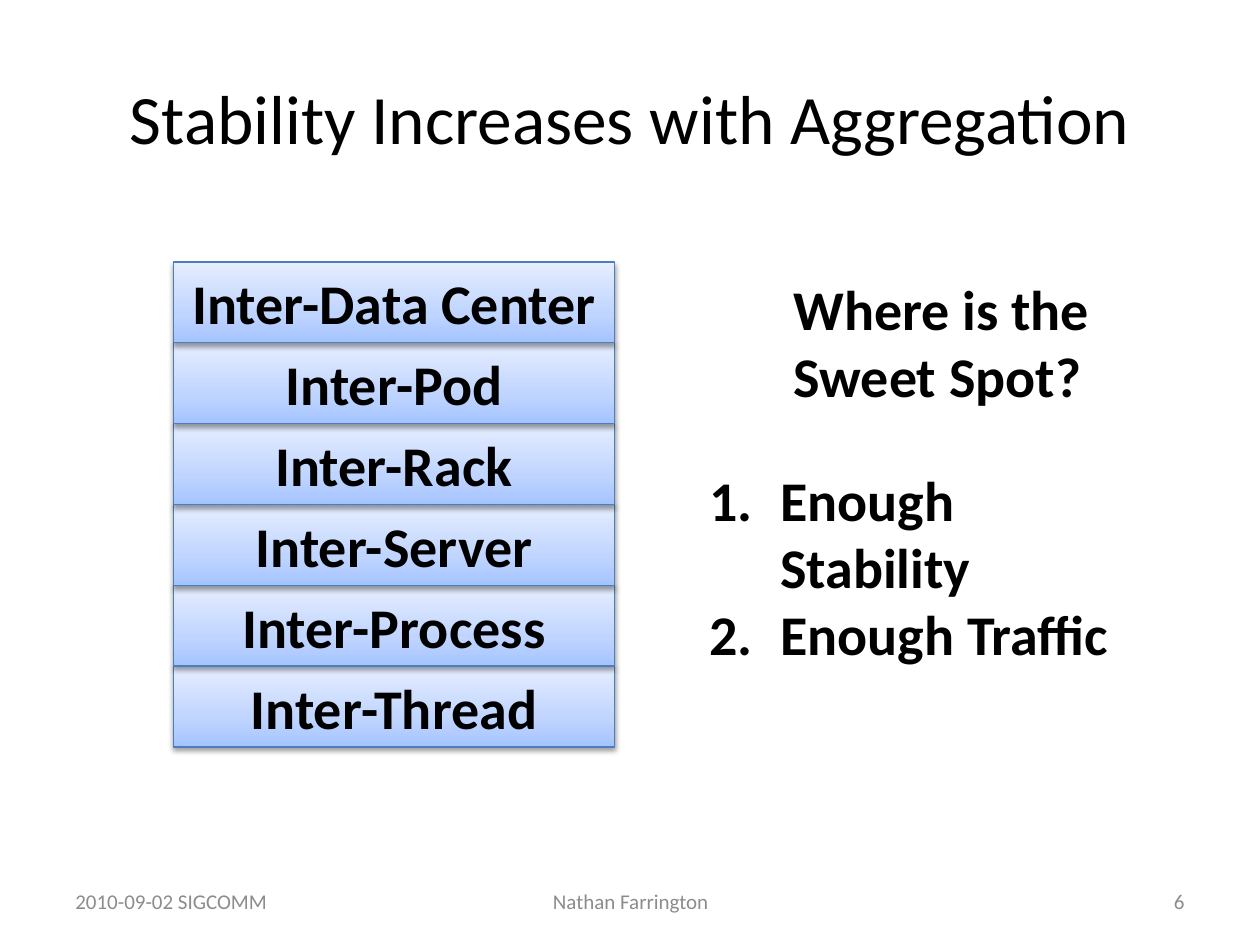
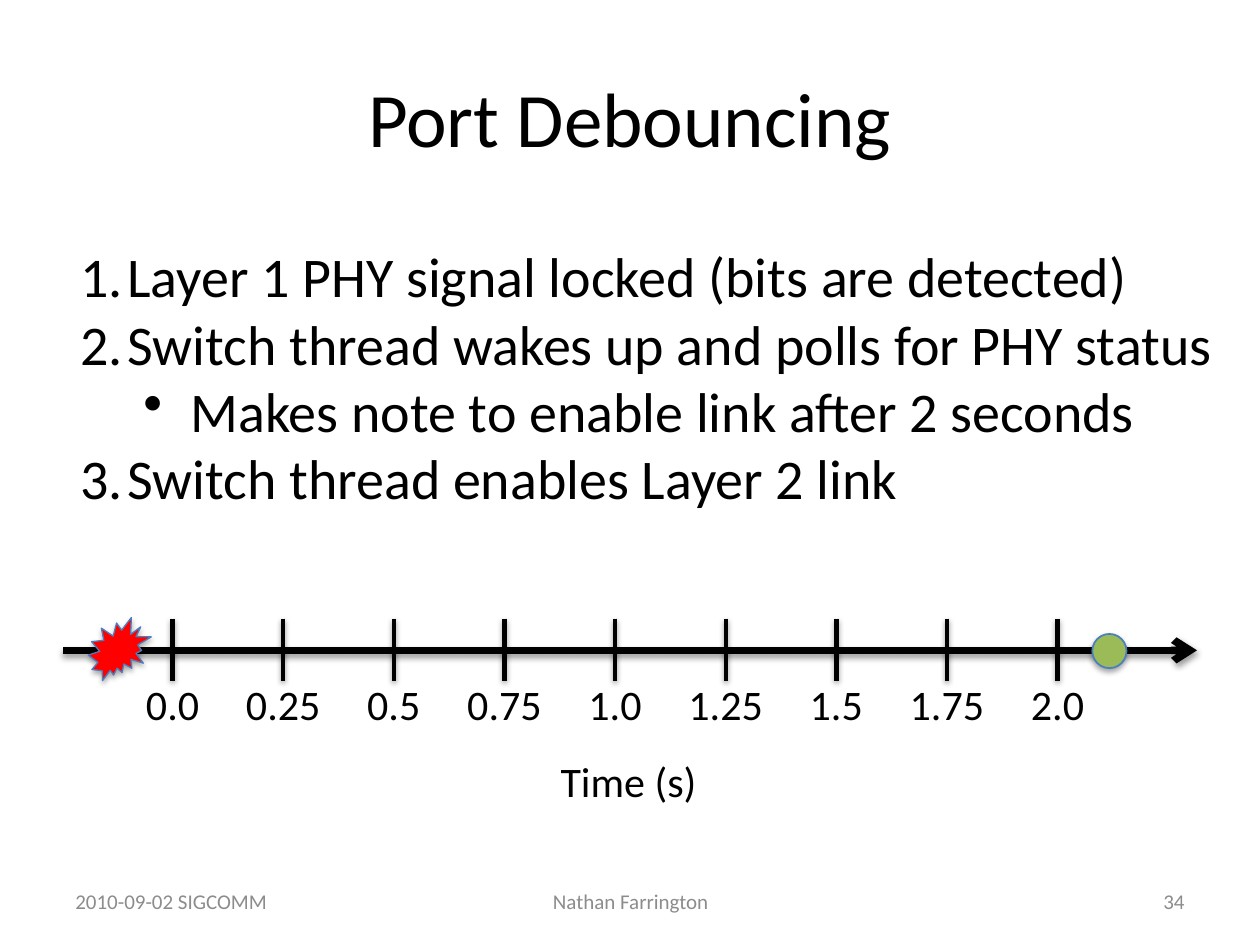
from dataclasses import dataclass
from typing import NamedTuple, Optional, Sequence, Union

from lxml.etree import SubElement
from pptx import Presentation
from pptx.dml.color import RGBColor as Rgb
from pptx.enum.shapes import MSO_CONNECTOR as Link, MSO_SHAPE as Preset
from pptx.enum.text import MSO_ANCHOR as Anchor, PP_ALIGN as Align
from pptx.oxml.ns import qn
from pptx.util import Cm, Pt


# Theme: colours and type sizes
@dataclass(frozen=True)
class Theme:
    font: str = "Calibri"
    ink: str = "000000"
    muted: str = "8C8C8C"
    edge: str = "4B7EBC"
    burst: str = "FF0000"
    dot: str = "9BBB59"
    layer_stops: tuple = ((0, "A4C4FF"), (35, "BFD4FF"), (100, "E6EEFF"))
    title: float = 44
    long_title: float = 39.6
    body: float = 32
    scale: float = 24
    footer: float = 12


THEME = Theme()


class Box(NamedTuple):
    """Left, top, width and height in centimetres."""
    left: float
    top: float
    width: float
    height: float

    def lengths(self) -> list:
        return [Cm(side) for side in self]


class Item(NamedTuple):
    """A list paragraph: its mark, left margin and hanging indent in cm."""
    text: str
    indent: float
    hang: float
    level: int = 0
    bullet: Optional[str] = None


class FooterPart(NamedTuple):
    text: str
    box: Box
    align: Align


class Marker(NamedTuple):
    preset: Preset
    box: Box
    color: str
    edge_width: float


TITLE_BOX = Box(1.27, 0.76, 22.86, 3.18)


# Text
def add_mark(paragraph, item: Item) -> None:
    properties = paragraph._p.get_or_add_pPr()
    properties.set("marL", str(Cm(item.indent)))
    properties.set("indent", str(-Cm(item.hang)))
    if item.bullet:
        SubElement(properties, qn("a:buChar"), char=item.bullet)
    else:
        SubElement(properties, qn("a:buAutoNum"), type="arabicPeriod")


def write(frame, lines: Sequence[Union[str, Item]], *, size: float,
          color: str = THEME.ink, bold: bool = False, align: Align = Align.LEFT,
          anchor: Anchor = Anchor.TOP, wrap: bool = True) -> None:
    frame.word_wrap = wrap
    frame.vertical_anchor = anchor
    for number, line in enumerate(lines):
        paragraph = frame.add_paragraph() if number else frame.paragraphs[0]
        paragraph.alignment = align
        if isinstance(line, Item):
            paragraph.level = line.level
            add_mark(paragraph, line)
        run = paragraph.add_run()
        run.text = line.text if isinstance(line, Item) else line
        run.font.name = THEME.font
        run.font.size = Pt(size)
        run.font.bold = bold
        run.font.color.rgb = Rgb.from_string(color)


def add_text(shapes, box: Box, lines: Sequence[Union[str, Item]], **style) -> None:
    write(shapes.add_textbox(*box.lengths()).text_frame, lines, **style)


# Lines and effects
def add_shadow(shape, opacity: int, distance: float) -> None:
    properties = shape._element.spPr
    for effects in properties.findall(qn("a:effectLst")):
        properties.remove(effects)
    effects = SubElement(properties, qn("a:effectLst"))
    shadow = SubElement(effects, qn("a:outerShdw"), blurRad=str(Pt(3.15)),
                        dist=str(Pt(distance)), dir="5400000", rotWithShape="0")
    tint = SubElement(shadow, qn("a:srgbClr"), val=THEME.ink)
    SubElement(tint, qn("a:alpha"), val=str(opacity * 1000))


def outline(shape, color: str, width: float) -> None:
    shape.line.color.rgb = Rgb.from_string(color)
    shape.line.width = Pt(width)


def add_line(shapes, start: tuple, end: tuple, width: float, arrow: bool = False) -> None:
    ends = [Cm(value) for value in (*start, *end)]
    line = shapes.add_connector(Link.STRAIGHT, *ends)
    outline(line, THEME.ink, width)
    if arrow:
        SubElement(line.line._get_or_add_ln(), qn("a:tailEnd"), type="arrow")
    add_shadow(line, 38, 1.57)


# Shapes
def add_layer(shapes, name: str, box: Box) -> None:
    layer = shapes.add_shape(Preset.RECTANGLE, *box.lengths())
    layer.fill.gradient()
    layer.fill.gradient_angle = 90
    stops = layer._element.spPr.find(f".//{qn('a:gsLst')}")
    for stop in list(stops):
        stops.remove(stop)
    for position, color in THEME.layer_stops:
        stop = SubElement(stops, qn("a:gs"), pos=str(position * 1000))
        SubElement(stop, qn("a:srgbClr"), val=color)
    outline(layer, THEME.edge, 0.75)
    add_shadow(layer, 38, 1.57)
    write(layer.text_frame, [name], size=THEME.body, bold=True,
          align=Align.CENTER, anchor=Anchor.MIDDLE, wrap=False)


def add_marker(shapes, marker: Marker) -> None:
    shape = shapes.add_shape(marker.preset, *marker.box.lengths())
    shape.fill.solid()
    shape.fill.fore_color.rgb = Rgb.from_string(marker.color)
    outline(shape, THEME.edge, marker.edge_width)
    add_shadow(shape, 35, 1.8)


# Title and footer shared by the slides
def start_slide(deck, heading: str, number: int, size: float):
    slide = deck.slides.add_slide(deck.slide_layouts[5])
    title = slide.shapes.title
    title.left, title.top, title.width, title.height = TITLE_BOX.lengths()
    write(title.text_frame, [heading], size=size, align=Align.CENTER, anchor=Anchor.MIDDLE)
    footer = (
        FooterPart("2010-09-02 SIGCOMM", Box(1.27, 17.65, 5.92, 1.02), Align.LEFT),
        FooterPart("Nathan Farrington", Box(8.69, 17.65, 8.05, 1.02), Align.CENTER),
        FooterPart(str(number), Box(18.21, 17.65, 5.92, 1.02), Align.RIGHT),
    )
    for part in footer:
        add_text(slide.shapes, part.box, [part.text], size=THEME.footer,
                 color=THEME.muted, align=part.align, anchor=Anchor.MIDDLE)
    return slide


def build_aggregation(deck) -> None:
    shapes = start_slide(deck, "Stability Increases with Aggregation", 6,
                         THEME.long_title).shapes

    # Stack of layers, drawn from the bottom up
    layers = ("Data Center", "Pod", "Rack", "Server", "Process", "Thread")
    height = 1.63
    for row, layer in reversed(list(enumerate(layers))):
        add_layer(shapes, f"Inter-{layer}", Box(3.5, 5.28 + row * height, 8.89, height))

    # Question and its criteria
    add_text(shapes, Box(15.75, 5.41, 6.53, 3), ["Where is the", "Sweet Spot?"],
             size=THEME.body, bold=True, wrap=False)
    criteria = [Item(text, 1.43, 1.43) for text in ("Enough Stability", "Enough Traffic")]
    add_text(shapes, Box(14.05, 9.25, 9.45, 3), criteria, size=THEME.body, bold=True)


def build_debouncing(deck) -> None:
    shapes = start_slide(deck, "Port Debouncing", 34, THEME.title).shapes

    # Time axis with a tick each quarter second
    axis_y, first_tick, tick_gap, label_width = 13.11, 3.48, 2.23, 2.03
    add_line(shapes, (1.27, axis_y), (24.13, axis_y), 4.25, arrow=True)
    for quarter in range(9):
        x = first_tick + quarter * tick_gap
        tick = shapes.add_group_shape().shapes
        add_text(tick, Box(x - label_width / 2, 13.56, label_width, 1.27),
                 [str(quarter / 4)], size=THEME.scale, align=Align.CENTER, wrap=False)
        add_line(tick, (x, 12.47), (x, 13.72), 2.5)
    add_text(shapes, Box(11.05, 15.11, 3.28, 1.27), ["Time (s)"],
             size=THEME.scale, wrap=False)

    # Signal lock and link enabled
    add_marker(shapes, Marker(Preset.EXPLOSION2, Box(1.78, 12.45, 1.27, 1.27),
                              THEME.burst, 0.75))
    add_marker(shapes, Marker(Preset.OVAL, Box(22.02, 12.78, 0.69, 0.69), THEME.dot, 1))

    # Steps
    hang = 0.95
    steps = [
        Item("Layer 1 PHY signal locked (bits are detected)", hang, hang),
        Item("Switch thread wakes up and polls for PHY status", hang, hang),
        Item("Makes note to enable link after 2 seconds", 2.22, hang, level=1, bullet="•"),
        Item("Switch thread enables Layer 2 link", hang, hang),
    ]
    add_text(shapes, Box(1.37, 4.75, 23.5, 5.74), steps, size=THEME.body)


def main() -> None:
    deck = Presentation()
    deck.slide_width, deck.slide_height = Cm(25.4), Cm(19.05)
    build_aggregation(deck)
    build_debouncing(deck)
    deck.save("out.pptx")


if __name__ == "__main__":
    main()
